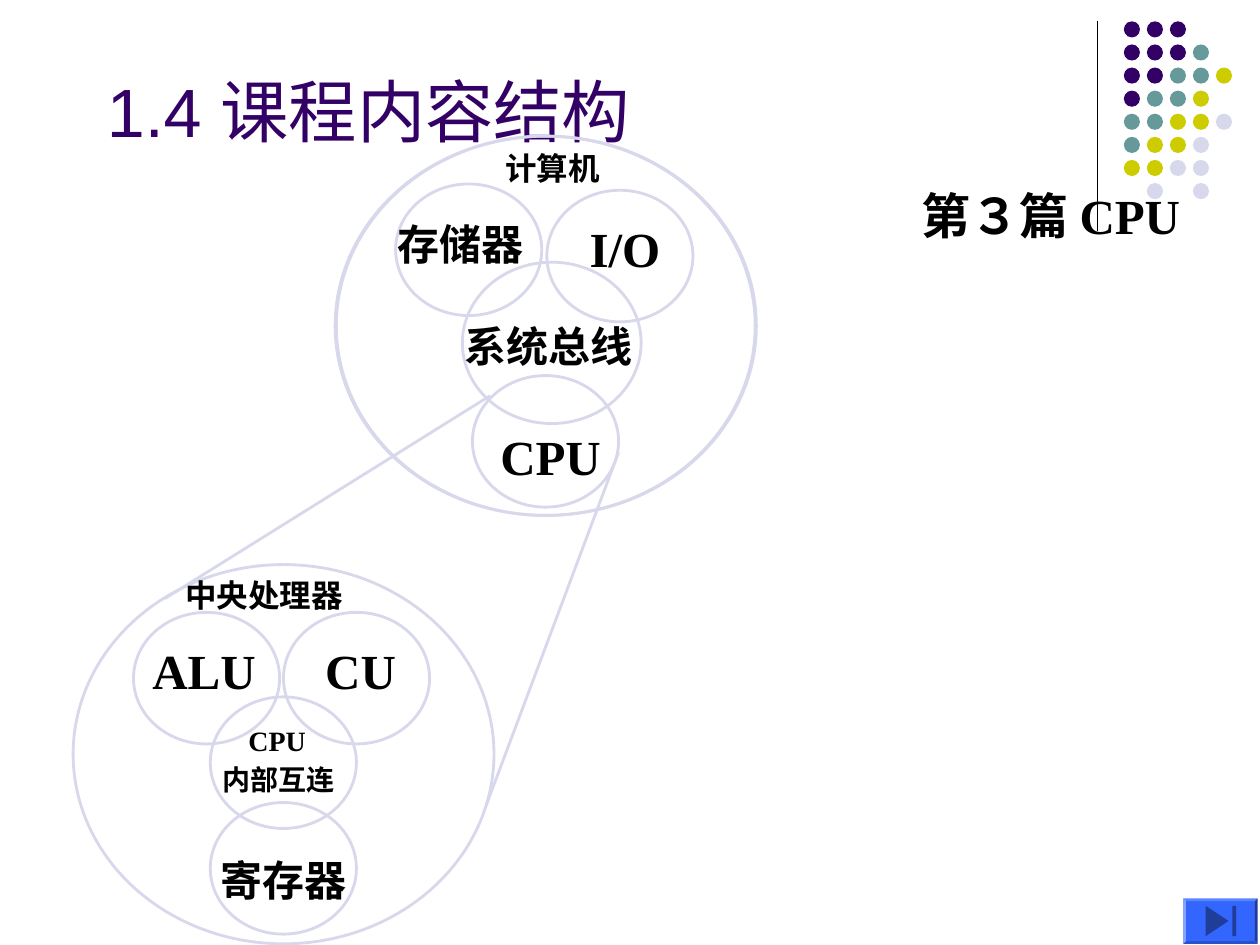
import pptx
import pptx.util
import pptx.dml.color
import pptx.enum.shapes
import pptx.enum.text
import pptx.oxml.ns
from lxml import etree

Pt = pptx.util.Pt
Shape = pptx.enum.shapes.MSO_SHAPE
Align = pptx.enum.text.PP_ALIGN
Anchor = pptx.enum.text.MSO_ANCHOR
qn = pptx.oxml.ns.qn

COLOURS = {"purple": "330066", "teal": "669999", "yellow": "CCCC00",
           "lilac": "D8D8EC", "black": "000000", "blue": "3366FF", "navy": "1F3D99"}
RGB = {name: pptx.dml.color.RGBColor.from_string(code) for name, code in COLOURS.items()}
ARIAL, CJK, TIMES = "Arial", "Noto Sans CJK SC", "Times New Roman"

deck = pptx.Presentation()
deck.slide_width, deck.slide_height = Pt(720), Pt(540)
page = deck.slides.add_slide(deck.slide_layouts[6])


def add_form(kind, bounds, fill=None, line=None):
    form = page.shapes.add_shape(kind, *map(Pt, bounds))
    form.shadow.inherit = False
    if fill:
        form.fill.solid()
        form.fill.fore_color.rgb = RGB[fill]
    else:
        form.fill.background()
    if line:
        form.line.color.rgb = RGB[line]
        form.line.width = Pt(1.62)
    else:
        form.line.fill.background()
    return form


def add_text(bounds, spans, size, colour="black", bold=True,
             align=Align.LEFT, anchor=Anchor.MIDDLE, insets=(0, 0)):
    box = page.shapes.add_textbox(*map(Pt, bounds))
    side, top = map(Pt, insets)
    frame_format = {"word_wrap": True, "vertical_anchor": anchor, "margin_left": side,
                    "margin_right": side, "margin_top": top, "margin_bottom": top}
    for name, value in frame_format.items():
        setattr(box.text_frame, name, value)
    para = box.text_frame.paragraphs[0]
    para.alignment = align
    for text, font in spans:
        span = para.add_run()
        span.text = text
        for name, value in {"size": Pt(size), "bold": bold, "name": font}.items():
            setattr(span.font, name, value)
        span.font.color.rgb = RGB[colour]
        east_asian = etree.SubElement(span.font._element, qn("a:ea"))
        east_asian.set("typeface", CJK)


# Dot pattern in the corner
dot_colours = {"P": "purple", "T": "teal", "Y": "yellow", "L": "lilac"}
dot_rows = ["PPP", "PPPT", "PPTTY", "PTTY", "TTYYL", "TYYL", "YYLL", ".L.L"]
for row, letters in enumerate(dot_rows):
    for column, letter in enumerate(letters):
        if letter in dot_colours:
            add_form(Shape.OVAL, (642.2 + 13.15 * column, 12.2 + 13.2 * row, 9.2, 9.2),
                     fill=dot_colours[letter])

# Title
add_text((54, 0, 612, 90), [("1.4 课程内容结构", ARIAL)], 39, "purple", bold=False,
         anchor=Anchor.BOTTOM, insets=(7.2, 3.6))

# Circles: computer (drawn as a double outline), then CPU
rings = [
    (191.5, 77.8, 240, 216.7), (192.2, 77.8, 240, 216.7),
    (264.2, 149.8, 102.2, 92.2),
    (226.1, 105.1, 83.5, 75.2), (312.5, 108.7, 83.5, 75.2), (270, 214.6, 83.5, 75.2),
    (41.8, 322.6, 240.5, 216.7),
    (76.3, 349.9, 83.5, 75.2), (162, 349.9, 83.5, 75.2),
    (120.2, 398.2, 83.5, 75.2), (120.2, 458.6, 83.5, 75.2),
]
for bounds in rings:
    add_form(Shape.OVAL, bounds, line="lilac")

# Corner rule and the two zoom lines
rules = [
    ((627.1, 12.2, 627.1, 131.8), "black", 0.75),
    ((280.1, 226.1, 94.3, 342), "lilac", 1.62),
    ((353.5, 258.5, 277.9, 460.1), "lilac", 1.62),
]
for ends, colour, width in rules:
    rule = page.shapes.add_connector(pptx.enum.shapes.MSO_CONNECTOR.STRAIGHT, *map(Pt, ends))
    rule.line.color.rgb = RGB[colour]
    rule.line.width = Pt(width)
    etree.SubElement(rule._element.spPr, qn("a:effectLst"))

# Circle labels, each box a little wider than its text
labels = [
    ("计算机", CJK, 18, Align.LEFT, (288.7, 85, 58, 21.6)),
    ("存储器", CJK, 24, Align.CENTER, (225, 124.6, 76, 28.8)),
    ("I/O", TIMES, 28, Align.CENTER, (327.6, 124.6, 59, 33.8)),
    ("系统总线", CJK, 24, Align.CENTER, (263.2, 182.9, 100, 28.8)),
    ("CPU", TIMES, 28, Align.CENTER, (283.6, 243.4, 62, 33.8)),
    ("中央处理器", CJK, 18, Align.LEFT, (105.8, 329, 188.6, 21.6)),
    ("ALU", TIMES, 28, Align.CENTER, (84.6, 365.8, 64, 33.8)),
    ("CU", TIMES, 28, Align.CENTER, (183, 365.8, 46, 33.8)),
    ("CPU", TIMES, 16, Align.LEFT, (142, 413.3, 104.2, 19.4)),
    ("内部互连", CJK, 16, Align.LEFT, (127.4, 435.6, 75.6, 19.4)),
    ("寄存器", CJK, 24, Align.CENTER, (124, 488.2, 76, 28.8)),
]
for text, font, size, align, bounds in labels:
    add_text(bounds, [(text, font)], size, align=align)

# Part heading
add_text((481, 102.2, 239, 41), [("第", CJK), ("３", TIMES), ("篇 ", CJK), ("CPU", TIMES)],
         28, align=Align.CENTER, insets=(7.2, 3.6))

# Button: bevelled face, triangle and bar
button = add_form(Shape.BEVEL, (676.1, 513.4, 42.5, 25.9), fill="blue")
button.adjustments[0] = 0.06
builder = page.shapes.build_freeform(Pt(689), Pt(517.7))
builder.add_line_segments([(Pt(702), Pt(526.3)), (Pt(689), Pt(535))], close=True)
triangle = builder.convert_to_shape()
triangle.shadow.inherit = False
triangle.fill.solid()
triangle.fill.fore_color.rgb = RGB["navy"]
triangle.line.fill.background()
add_form(Shape.RECTANGLE, (704.2, 517.7, 2.2, 17.3), fill="navy")

deck.save("out.pptx")
